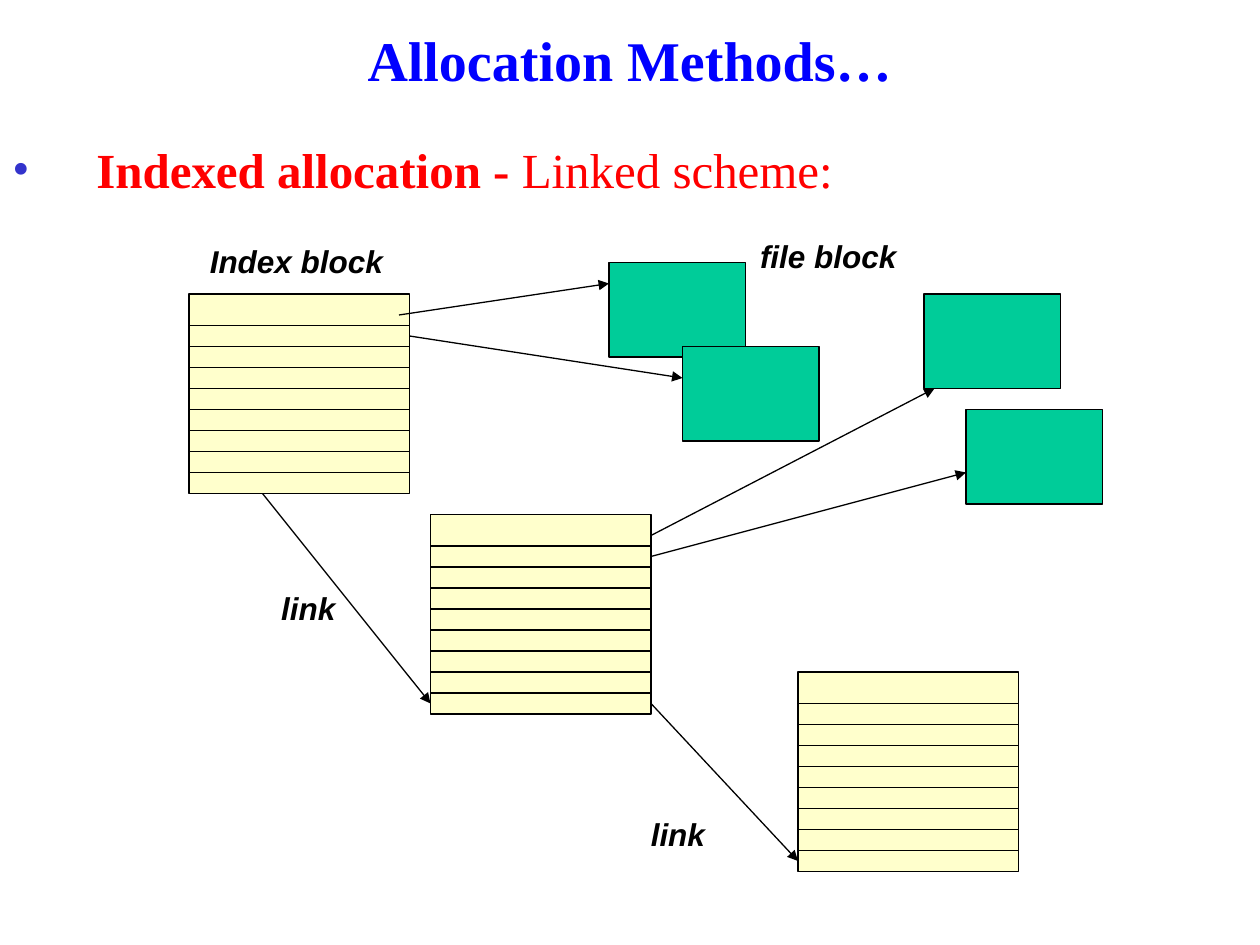
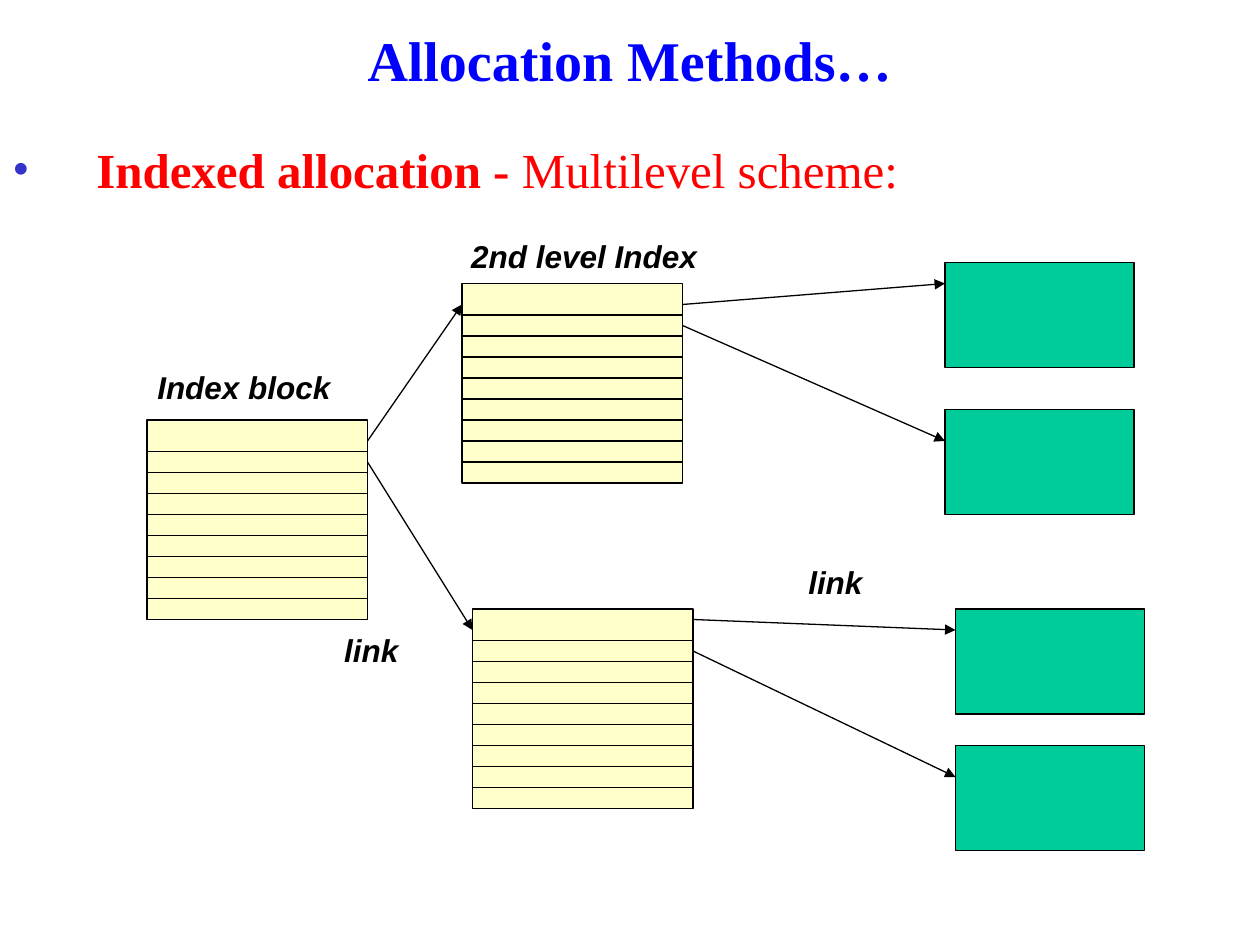
"""Builds two slides on indexed file allocation: linked and multilevel schemes."""
from typing import NamedTuple

from lxml import etree
from pptx import Presentation
from pptx.dml.color import RGBColor
from pptx.enum.shapes import MSO_CONNECTOR, MSO_SHAPE
from pptx.enum.text import MSO_ANCHOR, MSO_AUTO_SIZE, PP_ALIGN
from pptx.oxml.ns import qn
from pptx.shapes.autoshape import Shape
from pptx.slide import Slide
from pptx.text.text import _Paragraph as Paragraph
from pptx.util import Emu, Pt

RECTANGLE = MSO_SHAPE.RECTANGLE
STRAIGHT = MSO_CONNECTOR.STRAIGHT
MIDDLE = MSO_ANCHOR.MIDDLE
TOP = MSO_ANCHOR.TOP
NO_FIT = MSO_AUTO_SIZE.NONE
CENTER = PP_ALIGN.CENTER

EMU_PER_PX = 7620
SLIDE_WIDTH, SLIDE_HEIGHT = 1200, 900
SERIF, SANS = "Times New Roman", "Arial"
BLACK, TITLE_BLUE, HEADING_RED, BULLET_BLUE = "000000", "0000FF", "FF0000", "3333CC"
INDEX_YELLOW, FILE_GREEN = "FFFFCC", "00CC99"
LINE_WIDTH = Pt(0.75)

INDEX_WIDTH, INDEX_HEIGHT = 210, 190
FIRST_ROW_HEIGHT, ROW_HEIGHT = 30, 20
LABEL_HEIGHT = 48
HEADING_INDENT = 80


class Box(NamedTuple):
    """A rectangle in px."""

    left: int
    top: int
    width: int
    height: int


class Point(NamedTuple):
    """A position in px."""

    x: int
    y: int


class Arrow(NamedTuple):
    """A pointer from one block to another."""

    start: Point
    end: Point


class Label(NamedTuple):
    """A caption beside a block or an arrow."""

    text: str
    left: int
    top: int
    width: int


class TextStyle(NamedTuple):
    """The look of one run."""

    font: str
    size: int
    color: str
    bold: bool = True
    italic: bool = False


class Scheme(NamedTuple):
    """The contents of one allocation diagram."""

    name: str
    index_blocks: list[Point]
    file_blocks: list[Box]
    arrows: list[Arrow]
    labels: list[Label]


TITLE_STYLE = TextStyle(SERIF, 32, TITLE_BLUE)
HEADING_STYLE = TextStyle(SERIF, 28, HEADING_RED)
SCHEME_STYLE = HEADING_STYLE._replace(bold=False)
LABEL_STYLE = TextStyle(SANS, 18, BLACK, italic=True)

SCHEMES = [
    Scheme(
        "Linked scheme:",
        [Point(180, 280), Point(410, 490), Point(760, 640)],
        [Box(left, top, 130, 90)
         for left, top in ((580, 250), (650, 330), (880, 280), (920, 390))],
        [
            Arrow(Point(380, 300), Point(580, 270)),
            Arrow(Point(390, 320), Point(650, 360)),
            Arrow(Point(620, 510), Point(890, 370)),
            Arrow(Point(620, 530), Point(920, 450)),
            Arrow(Point(250, 470), Point(410, 670)),
            Arrow(Point(620, 670), Point(760, 820)),
        ],
        [
            Label("Index block", 188, 225, 200),
            Label("file block", 712, 220, 165),
            Label("link", 256, 555, 85),
            Label("link", 608, 770, 85),
        ],
    ),
    Scheme(
        "Multilevel scheme:",
        [Point(140, 400), Point(440, 270), Point(450, 580)],
        [Box(left, top, 180, 100)
         for left, top in ((900, 250), (900, 390), (910, 580), (910, 710))],
        [
            Arrow(Point(350, 420), Point(440, 290)),
            Arrow(Point(350, 440), Point(450, 600)),
            Arrow(Point(650, 290), Point(900, 270)),
            Arrow(Point(650, 310), Point(900, 420)),
            Arrow(Point(660, 590), Point(910, 600)),
            Arrow(Point(660, 620), Point(910, 740)),
        ],
        [
            Label("Index block", 138, 345, 200),
            Label("2nd level Index", 437, 220, 250),
            Label("link", 316, 595, 85),
            Label("link", 758, 530, 85),
        ],
    ),
]


def px(length: int) -> Emu:
    """Turn px into EMU."""
    return Emu(length * EMU_PER_PX)


def color(value: str) -> RGBColor:
    """Turn a hex string into a colour."""
    return RGBColor.from_string(value)


def add_run(paragraph: Paragraph, text: str, style: TextStyle) -> None:
    """Append one styled run."""
    run = paragraph.add_run()
    run.text = text
    run.font.name = style.font
    run.font.size = Pt(style.size)
    run.font.bold = style.bold
    run.font.italic = style.italic
    run.font.color.rgb = color(style.color)


def add_text_box(slide: Slide, box: Box) -> Shape:
    """Add an empty text box."""
    shape = slide.shapes.add_textbox(*map(px, box))
    shape.text_frame.word_wrap = True
    shape.text_frame.auto_size = NO_FIT
    shape.text_frame.vertical_anchor = TOP
    return shape


def add_title(slide: Slide) -> None:
    """Add the shared slide title."""
    shape = add_text_box(slide, Box(0, 0, SLIDE_WIDTH, 113))
    shape.text_frame.vertical_anchor = MIDDLE
    paragraph = shape.text_frame.paragraphs[0]
    paragraph.alignment = CENTER
    add_run(paragraph, "Allocation Methods…", TITLE_STYLE)


def add_heading(slide: Slide, scheme_name: str) -> None:
    """Add the bulleted heading that names the scheme."""
    shape = add_text_box(slide, Box(0, 127, SLIDE_WIDTH, 83))
    paragraph = shape.text_frame.paragraphs[0]
    properties = paragraph._p.get_or_add_pPr()
    properties.set("marL", str(px(HEADING_INDENT)))
    properties.set("indent", str(-px(HEADING_INDENT)))
    bullet_color = etree.SubElement(properties, qn("a:buClr"))
    etree.SubElement(bullet_color, qn("a:srgbClr"), val=BULLET_BLUE)
    etree.SubElement(properties, qn("a:buFont"), typeface=SERIF)
    etree.SubElement(properties, qn("a:buChar"), char="•")
    add_run(paragraph, "Indexed allocation - ", HEADING_STYLE)
    add_run(paragraph, scheme_name, SCHEME_STYLE)


def add_block(slide: Slide, box: Box, fill: str) -> None:
    """Add a filled, outlined rectangle."""
    shape = slide.shapes.add_shape(RECTANGLE, *map(px, box))
    shape.shadow.inherit = False
    shape.fill.solid()
    shape.fill.fore_color.rgb = color(fill)
    shape.line.color.rgb = color(BLACK)
    shape.line.width = LINE_WIDTH


def add_line(slide: Slide, start: Point, end: Point, arrowhead: bool = False) -> None:
    """Add a straight line, with an arrowhead at its end if asked."""
    connector = slide.shapes.add_connector(STRAIGHT, *map(px, start + end))
    connector.line.color.rgb = color(BLACK)
    connector.line.width = LINE_WIDTH
    properties = connector._element.spPr
    if arrowhead:
        outline = properties.find(qn("a:ln"))
        etree.SubElement(outline, qn("a:tailEnd"), type="triangle")
    etree.SubElement(properties, qn("a:effectLst"))


def add_index_block(slide: Slide, corner: Point) -> None:
    """Add an index block ruled into rows."""
    add_block(slide, Box(*corner, INDEX_WIDTH, INDEX_HEIGHT), INDEX_YELLOW)
    for offset in range(FIRST_ROW_HEIGHT, INDEX_HEIGHT, ROW_HEIGHT):
        y = corner.y + offset
        add_line(slide, Point(corner.x, y), Point(corner.x + INDEX_WIDTH, y))


def add_label(slide: Slide, label: Label) -> None:
    """Add a bold italic caption."""
    box = Box(label.left, label.top, label.width, LABEL_HEIGHT)
    shape = add_text_box(slide, box)
    add_run(shape.text_frame.paragraphs[0], label.text, LABEL_STYLE)


def add_scheme_slide(presentation: Presentation, scheme: Scheme) -> None:
    """Add one slide with its title, heading and diagram."""
    slide = presentation.slides.add_slide(presentation.slide_layouts[6])
    add_title(slide)
    add_heading(slide, scheme.name)
    for corner in scheme.index_blocks:
        add_index_block(slide, corner)
    for box in scheme.file_blocks:
        add_block(slide, box, FILE_GREEN)
    for arrow in scheme.arrows:
        add_line(slide, arrow.start, arrow.end, arrowhead=True)
    for label in scheme.labels:
        add_label(slide, label)


def main() -> None:
    """Build and save the presentation."""
    presentation = Presentation()
    presentation.slide_width = px(SLIDE_WIDTH)
    presentation.slide_height = px(SLIDE_HEIGHT)
    for scheme in SCHEMES:
        add_scheme_slide(presentation, scheme)
    presentation.save("out.pptx")


if __name__ == "__main__":
    main()
